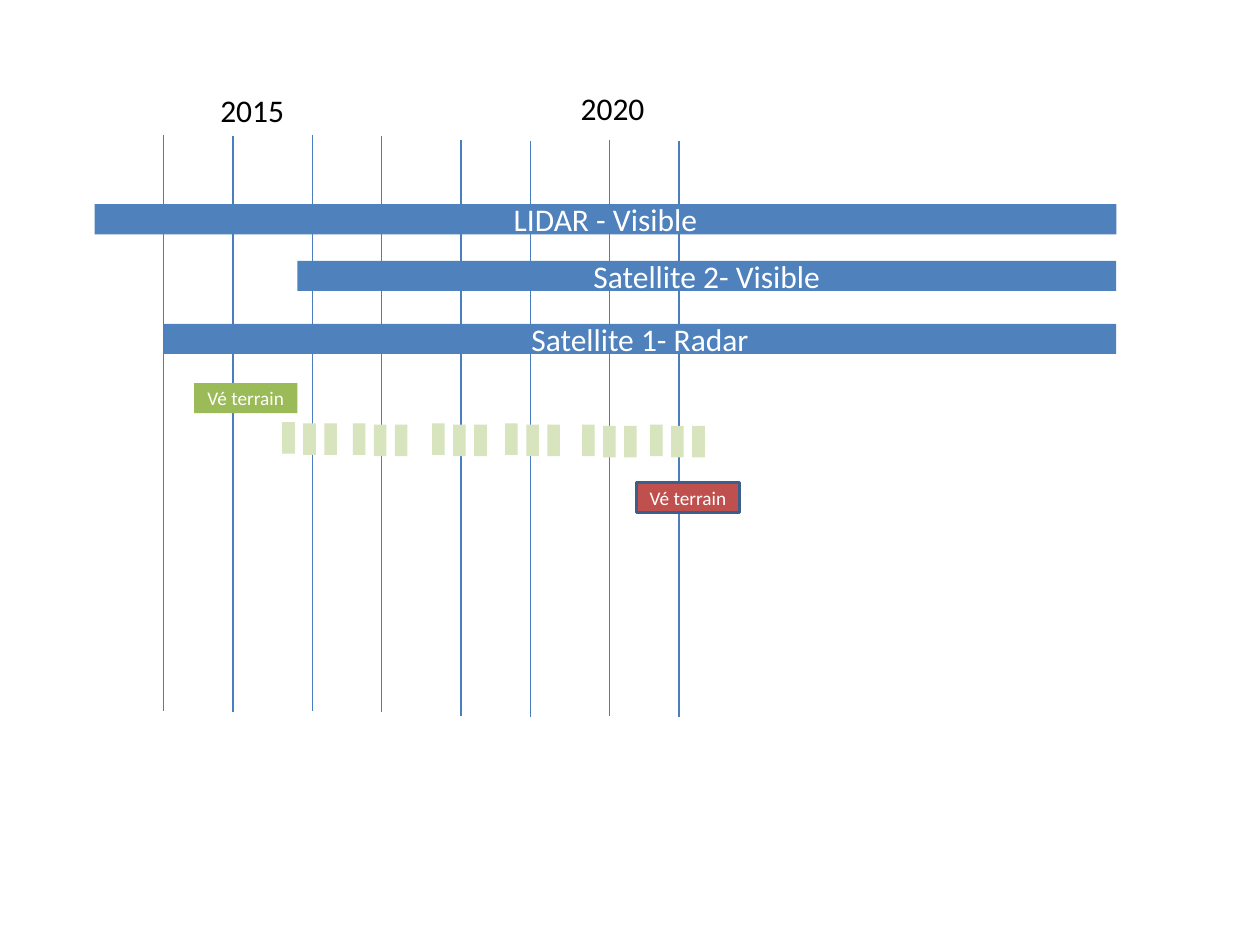
"""Build a timeline slide of remote sensing and field survey periods."""
from dataclasses import dataclass
from typing import Optional

from lxml.etree import SubElement
from pptx import Presentation
from pptx.dml.color import RGBColor as Color
from pptx.enum.shapes import MSO_CONNECTOR as Connector, MSO_SHAPE as Preset
from pptx.enum.text import MSO_ANCHOR as Anchor, MSO_AUTO_SIZE as AutoSize, PP_ALIGN as Align
from pptx.oxml.ns import qn
from pptx.slide import Slide
from pptx.text.text import TextFrame
from pptx.util import Inches, Length, Pt


@dataclass(frozen=True)
class Theme:
    font: str = "Calibri"
    large: float = 18
    small: float = 11
    rule_width: float = 0.75
    border_width: float = 2
    rule: str = "4B7EBC"
    sensor: str = "4F81BD"
    past_survey: str = "9BBB59"
    next_survey: str = "C0504D"
    border: str = "3A5F8C"
    visit: str = "D7E4BD"
    light: str = "FFFFFF"
    dark: str = "000000"


@dataclass(frozen=True)
class Grid:
    width: Length = Inches(10)
    height: Length = Inches(7.5)
    columns: int = 100
    rows: int = 75

    def x(self, columns: float) -> Length:
        return Length(round(self.width * columns / self.columns))

    def y(self, rows: float) -> Length:
        return Length(round(self.height * rows / self.rows))


@dataclass(frozen=True)
class Period:
    column: float
    row: float
    width: float
    fill: str
    text: str = ""
    size: float = 18
    height: float = 2.4
    border: Optional[str] = None


@dataclass(frozen=True)
class YearLabel:
    text: str
    column: float
    row: float
    width: float
    wrap: bool


@dataclass(frozen=True)
class YearRule:
    column: float
    row: float


@dataclass(frozen=True)
class VisitGroup:
    column: float
    row: float


THEME = Theme()
GRID = Grid()
RULE_LENGTH = 45.7
TIMELINE_END = 88.6
SURVEY_WIDTH = 8.2
VISIT_STEP = 1.67
VISIT_DROPS = (0, 0.1, 0.1)

RULES = [
    YearRule(13 + 11.8 * pair + 5.5 * side, top + 0.1 * side)
    for pair, top in enumerate((10.7, 10.7, 11.1, 11.1))
    for side in range(2)
]
LABELS = [
    YearLabel("2015", 16.5, 6.7, 7.1, False),
    YearLabel("2020", 45.1, 6.6, 12.8, True),
]
SENSORS = [
    Period(start, row, TIMELINE_END - start, THEME.sensor, text, THEME.large)
    for start, row, text in (
        (7.5, 16.2, "LIDAR - Visible"),
        (23.6, 20.7, "Satellite 2- Visible"),
        (13, 25.7, "Satellite 1- Radar"),
    )
]
SURVEYS = [
    Period(15.4, 30.4, SURVEY_WIDTH, THEME.past_survey, "Vé terrain", THEME.small),
    Period(50.5, 38.3, SURVEY_WIDTH, THEME.next_survey, "Vé terrain", THEME.small,
           border=THEME.border),
]
VISIT_GROUPS = [
    VisitGroup(22.4, 33.5), VisitGroup(28, 33.6), VisitGroup(34.3, 33.6),
    VisitGroup(40.1, 33.6), VisitGroup(46.2, 33.7), VisitGroup(51.6, 33.7),
]
VISITS = [
    Period(group.column + VISIT_STEP * index, group.row + drop, 1, THEME.visit, height=2.5)
    for group in VISIT_GROUPS
    for index, drop in enumerate(VISIT_DROPS)
]


def write(frame: TextFrame, text: str, size: float, color: str, align: Align) -> None:
    paragraph = frame.paragraphs[0]
    paragraph.alignment = align
    run = paragraph.add_run()
    run.text = text
    run.font.name = THEME.font
    run.font.size = Pt(size)
    run.font.color.rgb = Color.from_string(color)


def draw_rule(slide: Slide, rule: YearRule) -> None:
    x = GRID.x(rule.column)
    line = slide.shapes.add_connector(
        Connector.STRAIGHT, x, GRID.y(rule.row), x, GRID.y(rule.row + RULE_LENGTH))
    line.line.color.rgb = Color.from_string(THEME.rule)
    line.line.width = Pt(THEME.rule_width)
    SubElement(line._element.spPr, qn("a:effectLst"))


def draw_label(slide: Slide, label: YearLabel) -> None:
    box = slide.shapes.add_textbox(
        GRID.x(label.column), GRID.y(label.row), GRID.x(label.width), GRID.y(4))
    box.text_frame.word_wrap = label.wrap
    box.text_frame.auto_size = AutoSize.SHAPE_TO_FIT_TEXT
    write(box.text_frame, label.text, THEME.large, THEME.dark, Align.LEFT)


def draw_period(slide: Slide, period: Period) -> None:
    shape = slide.shapes.add_shape(
        Preset.RECTANGLE, GRID.x(period.column), GRID.y(period.row),
        GRID.x(period.width), GRID.y(period.height))
    shape.shadow.inherit = False
    shape.fill.solid()
    shape.fill.fore_color.rgb = Color.from_string(period.fill)
    if period.border:
        shape.line.color.rgb = Color.from_string(period.border)
        shape.line.width = Pt(THEME.border_width)
    else:
        shape.line.fill.background()
    if period.text:
        shape.text_frame.vertical_anchor = Anchor.MIDDLE
        write(shape.text_frame, period.text, period.size, THEME.light, Align.CENTER)


def main() -> None:
    presentation = Presentation()
    presentation.slide_width = GRID.width
    presentation.slide_height = GRID.height
    slide = presentation.slides.add_slide(presentation.slide_layouts.get_by_name("Blank"))
    for rule in RULES:
        draw_rule(slide, rule)
    for label in LABELS:
        draw_label(slide, label)
    for period in SENSORS + SURVEYS + VISITS:
        draw_period(slide, period)
    presentation.save("out.pptx")


if __name__ == "__main__":
    main()
